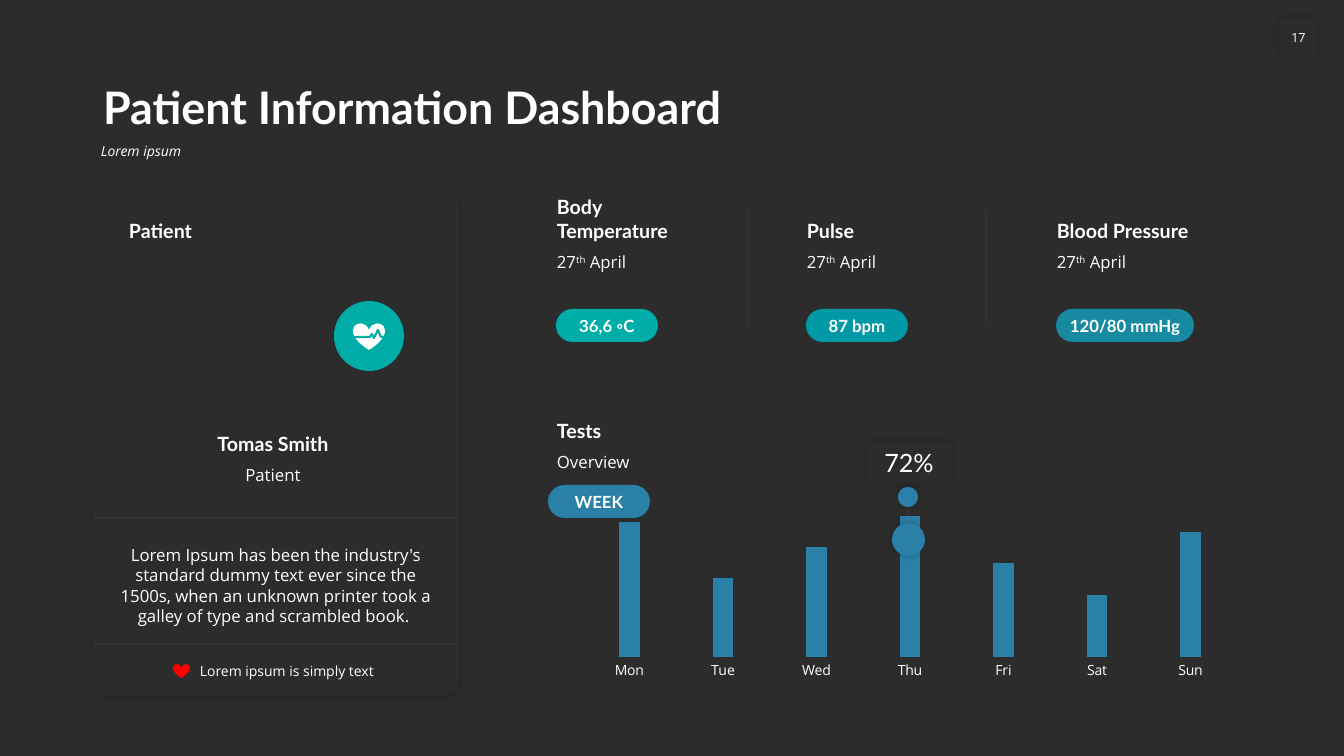
"""Build the patient information dashboard slide."""
from dataclasses import dataclass

from lxml import etree
from pptx import Presentation, util as u
from pptx.chart.data import CategoryChartData
from pptx.dml.color import RGBColor
from pptx.enum import chart as ch, shapes, text
from pptx.oxml import ns

PX = 914400 / 100.8
KIND = shapes.MSO_SHAPE
LEFT, MID = text.PP_ALIGN.LEFT, text.PP_ALIGN.CENTER
TOP, CORE, BASE = (text.MSO_ANCHOR.TOP, text.MSO_ANCHOR.MIDDLE,
                   text.MSO_ANCHOR.BOTTOM)


@dataclass(frozen=True)
class Theme:
    back: str = "2C2C2C"
    white: str = "FFFFFF"
    black: str = "000000"
    red: str = "FF0000"
    green: str = "00ACA8"
    teal: str = "0099A5"
    cyan: str = "178AA1"
    blue: str = "2A80A6"
    head: str = "Lato"
    body: str = "Open Sans"
    title: int = 32
    large: int = 18
    label: int = 14
    plain: int = 12
    small: int = 10
    page: int = 9


def px(*nums):
    return [u.Emu(round(n * PX)) for n in nums]


def paint(fill, shade):
    fill.solid()
    fill.fore_color.rgb = RGBColor.from_string(shade)


def node(parent, tag, **attrs):
    return etree.SubElement(parent, ns.qn(tag), attrs)


def write(frame, words, font, size, color, bold=False, slant=False,
          align=LEFT, anchor=TOP, wrap=True, inset=None, lead=None, above=None):
    frame.word_wrap = wrap
    frame.auto_size = text.MSO_AUTO_SIZE.NONE
    frame.vertical_anchor = anchor
    if inset is not None:
        frame.margin_left = frame.margin_right = px(inset)[0]
    para = frame.paragraphs[0]
    para.alignment = align
    para.line_spacing = lead
    para.space_before = above
    for i, part in enumerate(words.split("^")):
        run = para.add_run()
        run.text = part
        run.font.name = font
        run.font.size = u.Pt(size)
        run.font.bold = bold
        run.font.italic = slant
        run.font.color.rgb = RGBColor.from_string(color)
        if i % 2:
            run.font._element.set("baseline", "30000")


class Board:
    def __init__(self, deck, theme):
        self.theme = theme
        self.slide = deck.slides.add_slide(deck.slide_layouts[5])
        self.items = self.slide.shapes
        paint(self.slide.background.fill, theme.back)

    def title(self, box, words):
        t, item = self.theme, self.items.title
        item.left, item.top, item.width, item.height = px(*box)
        write(item.text_frame, words, t.head, t.title, t.white, bold=True,
              anchor=BASE, lead=0.9)

    def head(self, box, words, **fmt):
        t = self.theme
        write(self.items.add_textbox(*px(*box)).text_frame, words,
              t.head, t.label, t.white, bold=True, anchor=BASE, **fmt)

    def note(self, box, words, size=None, **fmt):
        t = self.theme
        write(self.items.add_textbox(*px(*box)).text_frame, words,
              t.body, size or t.plain, t.white, **fmt)

    def shape(self, kind, box, color, bend=None, glow=None):
        item = self.items.add_shape(kind, *px(*box))
        paint(item.fill, color)
        item.line.fill.background()
        item.shadow.inherit = False
        if bend is not None:
            item.adjustments[0] = bend
        if glow:
            alpha, blur, dist = glow
            list_ = item._element.spPr.find(ns.qn("a:effectLst"))
            cast = node(list_, "a:outerShdw", blurRad=str(u.Pt(blur)),
                        dist=str(u.Pt(dist)), dir="2700000", algn="ctr",
                        rotWithShape="0")
            tint = node(cast, "a:srgbClr", val=self.theme.black)
            node(tint, "a:alpha", val=str(alpha * 1000))
        return item

    def pill(self, box, words, color):
        t = self.theme
        item = self.shape(KIND.ROUNDED_RECTANGLE, box, color, bend=0.5)
        item.text_frame.margin_top = item.text_frame.margin_bottom = 0
        write(item.text_frame, words, t.head, t.plain, t.white, bold=True,
              align=MID, anchor=CORE, inset=0)

    def line(self, *ends):
        item = self.items.add_connector(shapes.MSO_CONNECTOR.STRAIGHT, *px(*ends))
        item.line.width = u.Pt(0.5)
        item.line.color.rgb = RGBColor.from_string(self.theme.white)
        props = item._element.spPr
        node(next(props.iter(ns.qn("a:srgbClr"))), "a:alpha", val="10000")
        node(props, "a:effectLst")

    def pulse(self, color, start, *points):
        pen = self.items.build_freeform(*start, scale=PX)
        pen.add_line_segments(points, close=False)
        item = pen.convert_to_shape()
        item.fill.background()
        item.line.color.rgb = RGBColor.from_string(color)
        item.line.width = u.Pt(1.5)
        item.shadow.inherit = False

    def chart(self, box, days, rates):
        t, data = self.theme, CategoryChartData()
        data.categories = days
        data.add_series("Series 1", rates)
        chart = self.items.add_chart(ch.XL_CHART_TYPE.COLUMN_CLUSTERED,
                                     *px(*box), data).chart
        chart.has_title = chart.has_legend = False
        chart.font.name, chart.font.size = t.body, u.Pt(t.plain)
        chart.font.color.rgb = RGBColor.from_string(t.white)
        value, days_axis = chart.value_axis, chart.category_axis
        value.minimum_scale, value.maximum_scale = 0, 100
        value.has_major_gridlines = value.visible = False
        days_axis.major_tick_mark = ch.XL_TICK_MARK.NONE
        days_axis.format.line.fill.background()
        days_axis.tick_labels.font.size = u.Pt(t.small)
        plot = chart.plots[0]
        plot.gap_width, plot.overlap = 360, -30
        plot.vary_by_categories = False
        paint(plot.series[0].format.fill, t.blue)
        area = chart._chartSpace.chart.plotArea
        for old in area.findall(ns.qn("c:layout")):
            area.remove(old)
        frame = etree.Element(ns.qn("c:layout"))
        area.insert(0, frame)
        rule = node(frame, "c:manualLayout")
        for key, val in (("layoutTarget", "inner"), ("xMode", "edge"),
                         ("yMode", "edge"), ("x", "0.02"), ("y", "0.1"),
                         ("w", "0.96"), ("h", "0.76")):
            node(rule, "c:" + key, val=val)


def main():
    deck = Presentation()
    deck.slide_width, deck.slide_height = px(1344, 756)
    t = Theme()
    b = Board(deck, t)
    soft = (20, 5, 0)

    b.shape(KIND.ROUNDED_RECTANGLE, (93, 190, 366, 506), t.back, 0.05, (15, 6, 1))
    b.title((93, 58, 1159, 81), "Patient Information Dashboard")
    b.note((91, 139, 1161, 36), "Lorem ipsum", t.small, slant=True, lead=0.9,
           above=u.Pt(10))
    page = b.shape(KIND.ROUNDED_RECTANGLE, (1279, 18, 39, 39), t.back, glow=soft)
    write(page.text_frame, "17", t.body, t.page, t.white, align=MID,
          anchor=CORE, wrap=False, inset=0)

    b.head((119, 213, 323, 34), "Patient")
    b.head((172, 426, 202, 34), "Tomas Smith", align=MID)
    b.note((172, 460, 202, 30), "Patient", align=MID)
    for y in (518, 644):
        b.line(93, y, 459, y)
    b.note((109, 540, 334, 92), "Lorem Ipsum has been the industry's standard "
           "dummy text ever since the 1500s, when an unknown printer took a "
           "galley of type and scrambled book. ", align=MID)
    b.shape(KIND.HEART, (173, 664, 17, 14), t.red)
    b.note((190, 657, 198, 27), "Lorem ipsum is simply text", t.small, anchor=CORE)
    b.shape(KIND.OVAL, (334, 301, 70, 70), t.green)
    b.shape(KIND.HEART, (353, 323, 32, 27), t.white)
    b.pulse(t.green, (353, 337), (370, 337), (372, 334), (374, 338),
            (378, 330), (381, 337), (385, 337))

    vitals = (("Body Temperature", "36,6 ◦C", 102, t.green),
              ("Pulse", "87 bpm", 102, t.teal),
              ("Blood Pressure", "120/80 mmHg", 138, t.cyan))
    for i, (name, value, wide, color) in enumerate(vitals):
        x = 547 + 250 * i
        b.head((x, 190, 167, 57), name)
        b.note((x, 247, 167, 30), "27^th^ April")
        b.pill((x + 9, 309, wide, 33), value, color)
    for x in (748, 986):
        b.line(x, 324, x, 210)

    b.head((547, 413, 288, 34), "Tests")
    b.note((547, 447, 288, 30), "Overview")
    b.chart((569, 498, 682, 185), ("Mon", "Tue", "Wed", "Thu", "Fri", "Sat", "Sun"),
            (96, 56, 78, 100, 67, 44, 89))
    b.shape(KIND.OVAL, (892, 523, 33, 33), t.blue, glow=soft)
    b.line(908, 508, 908, 523)
    b.shape(KIND.OVAL, (898, 487, 20, 20), t.blue, glow=soft)
    peak = b.shape(KIND.ROUNDED_RECTANGLE, (866, 442, 86, 41), t.back, glow=soft)
    write(peak.text_frame, "72%", t.head, t.large, t.white, align=MID,
          anchor=CORE, inset=8)
    b.pill((548, 485, 102, 33), "WEEK", t.blue)
    deck.save("out.pptx")


if __name__ == "__main__":
    main()
